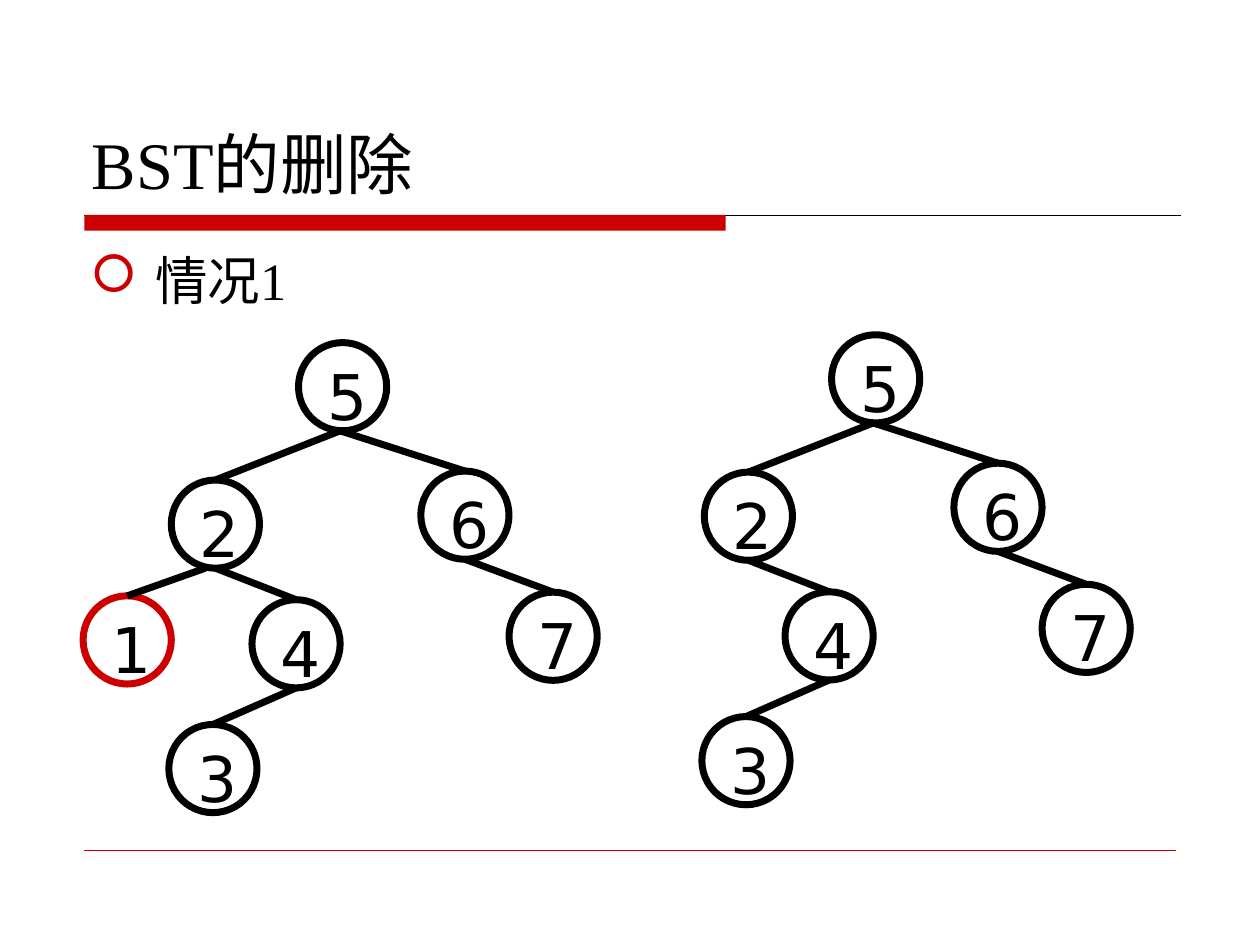
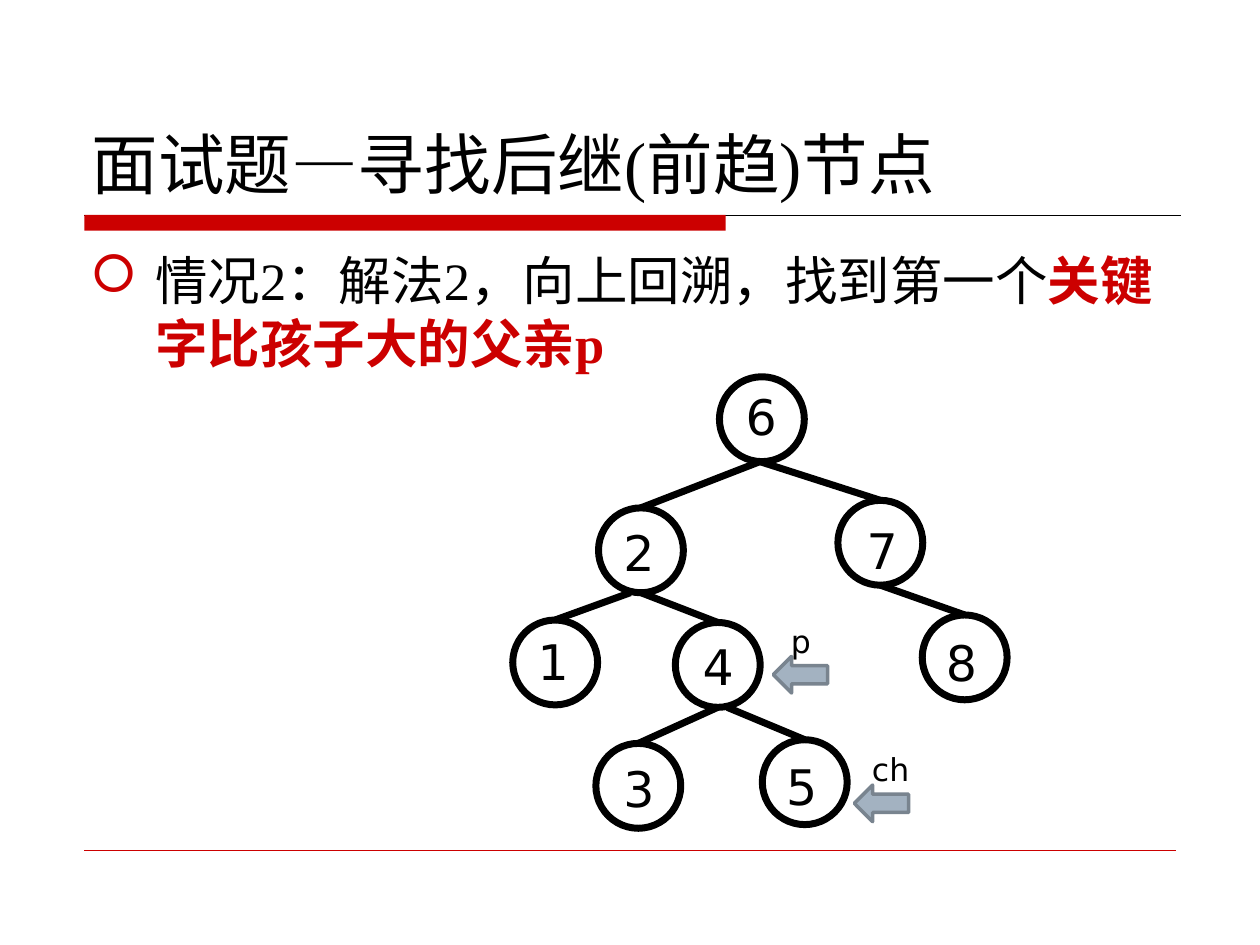
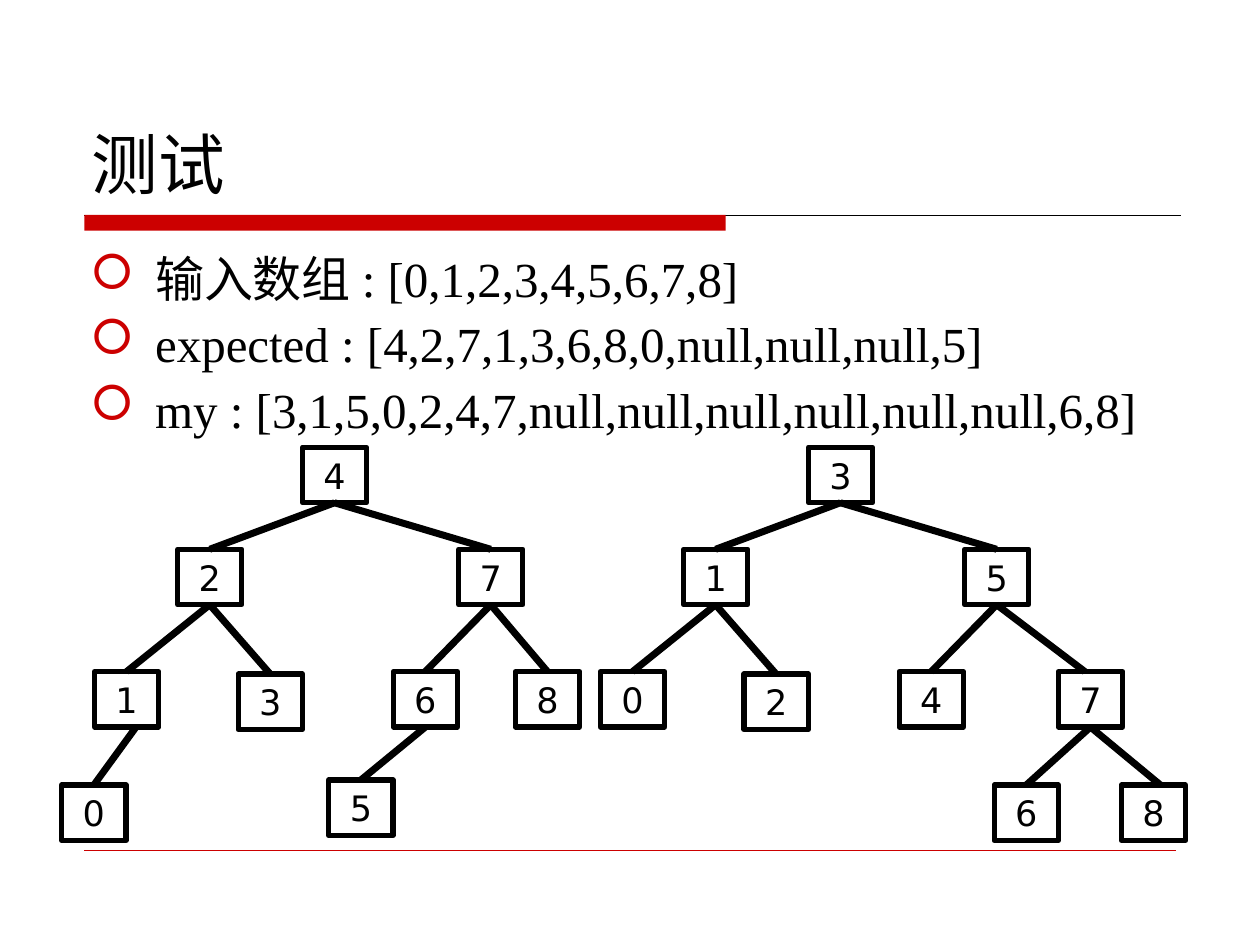
from lxml.etree import SubElement
from pptx import Presentation
from pptx.dml.color import RGBColor
from pptx.enum.shapes import MSO_CONNECTOR, MSO_SHAPE
from pptx.enum.text import MSO_ANCHOR, PP_ALIGN
from pptx.oxml.ns import qn
from pptx.util import Pt

BLACK = RGBColor(0x00, 0x00, 0x00)
RED = RGBColor(0xCC, 0x00, 0x00)
ARROW_FILL = RGBColor(0xA3, 0xB2, 0xC1)
ARROW_LINE = RGBColor(0x79, 0x84, 0x8F)
SERIF, SANS, SYMBOLS = "Times New Roman", "DejaVu Sans", "Wingdings"
TOP, BOTTOM = 0, 2  # connection sites of a rectangle
INDENT = 37

# A node is keyed by its way down from the root: "LR" is the right child of "L"
DELETION_NODES = {
    "": ("5", 123.1, 0), "L": ("2", 50.4, 78.5), "LL": ("1", 0, 144.7),
    "LR": ("4", 96.5, 146.9), "LRL": ("3", 49, 218.2),
    "R": ("6", 193, 73.4), "RR": ("7", 243.4, 142.6),
}
SUCCESSOR_NODES = {
    "": ("6", 118.1, 0), "L": ("2", 49, 74.9), "LL": ("1", 0, 139),
    "LR": ("4", 92.9, 140.4), "LRL": ("3", 47.5, 209.5), "LRR": ("5", 142.6, 207.4),
    "R": ("7", 185.8, 70.6), "RR": ("8", 234, 136.1),
}
SUCCESSOR_LABELS = {
    "": (7.9, 2.2), "L": (7.2, 5), "LL": (7.2, 2.9), "LR": (8.6, 4.3),
    "LRL": (8.6, 5), "LRR": (6.5, 5.8), "R": (9.4, 7.9), "RR": (6.5, 6.5),
}
TEST_SLOTS = {
    "": (137.5, 0), "L": (66.2, 58.3), "R": (226.8, 58.3), "LL": (18.7, 128.2),
    "LR": (100.8, 129.6), "RL": (189.4, 128.2),
}
EXPECTED_SLOTS = TEST_SLOTS | {"RR": (259.2, 128.2), "LLL": (0, 193), "RLL": (152.6, 190.1)}
MY_SLOTS = TEST_SLOTS | {"RR": (280.4, 128.2), "RRL": (243.7, 193), "RRR": (316.4, 193)}


def apply_format(target, values):
    for name, value in values.items():
        setattr(target, name, value)


def style_run(run, size, name, color=BLACK, bold=False):
    apply_format(run.font, {"size": Pt(size), "name": name, "bold": bold})
    run.font.color.rgb = color


def add_text(slide, left, top, width, height, text, size, name, anchor=MSO_ANCHOR.TOP):
    frame = slide.shapes.add_textbox(Pt(left), Pt(top), Pt(width), Pt(height)).text_frame
    apply_format(frame, {"word_wrap": True, "vertical_anchor": anchor})
    run = frame.paragraphs[0].add_run()
    run.text = text
    style_run(run, size, name)


def add_shape(slide, kind, left, top, width, height, fill=None, line=None, weight=1):
    shape = slide.shapes.add_shape(kind, Pt(left), Pt(top), Pt(width), Pt(height))
    shape.shadow.inherit = False
    if fill is None:
        shape.fill.background()
    else:
        shape.fill.solid()
        shape.fill.fore_color.rgb = fill
    if line is None:
        shape.line.fill.background()
    else:
        shape.line.color.rgb = line
        shape.line.width = Pt(weight)
    return shape


def add_line(slide, start, end, color=BLACK, weight=4):
    points = [Pt(value) for value in (*start, *end)]
    connector = slide.shapes.add_connector(MSO_CONNECTOR.STRAIGHT, *points)
    connector.line.color.rgb = color
    connector.line.width = Pt(weight)
    SubElement(connector._element.spPr, qn("a:effectLst"))
    return connector


def add_base_slide(presentation, title):
    """Red band, footer rule and title, shared by all slides."""
    slide = presentation.slides.add_slide(presentation.slide_layouts[6])
    add_line(slide, (48.2, 123.1), (674.6, 123.1), BLACK, 0.75)
    add_shape(slide, MSO_SHAPE.RECTANGLE, 48.2, 122.8, 366.5, 9, fill=RED)
    add_line(slide, (48.2, 486), (671.8, 486), RED, 0.25)
    add_text(slide, 45.4, 23.8, 630, 95.8, title, 38, SERIF, MSO_ANCHOR.BOTTOM)
    return slide


def add_bullets(slide, items, size):
    """Each item is a list of (text, emphasised) runs."""
    frame = slide.shapes.add_textbox(Pt(44.6), Pt(138.2), Pt(630), Pt(336)).text_frame
    frame.word_wrap = True
    for index, item in enumerate(items):
        paragraph = frame.add_paragraph() if index else frame.paragraphs[0]
        properties = paragraph._p.get_or_add_pPr()
        properties.set("marL", str(Pt(INDENT)))
        properties.set("indent", str(-Pt(INDENT)))
        color = SubElement(properties, qn("a:buClr"))
        SubElement(color, qn("a:srgbClr"), val=str(RED))
        SubElement(properties, qn("a:buFont"), typeface=SYMBOLS)
        SubElement(properties, qn("a:buChar"), char="□")
        if index:
            paragraph.space_before = Pt(4)
        for text, emphasised in item:
            run = paragraph.add_run()
            run.text = text
            style_run(run, size, SERIF, RED if emphasised else BLACK, emphasised)


def add_edges(slide, left, top, boxes, width, height, shifts, shapes=None):
    """Join bottom of parent to top of child; shifts move the ends sideways."""
    for key, (x, y) in boxes.items():
        if not key:
            continue
        parent = key[:-1]
        parent_x, parent_y = boxes[parent]
        start_shift, end_shift = shifts.get(key, (0, 0))
        edge = add_line(
            slide,
            (left + parent_x + width / 2 + start_shift, top + parent_y + height),
            (left + x + width / 2 + end_shift, top + y))
        if shapes and not start_shift:
            edge.begin_connect(shapes[parent], BOTTOM)
        if shapes and not end_shift:
            edge.end_connect(shapes[key], TOP)


def add_circle_tree(slide, left, top, nodes, diameter, label_size, label_box,
                    label_offsets, shifts, marked=()):
    for key, (value, x, y) in nodes.items():
        add_shape(slide, MSO_SHAPE.OVAL, left + x, top + y, diameter, diameter,
                  line=RED if key in marked else BLACK, weight=4)
        label_x, label_y = label_offsets[key]
        add_text(slide, left + x + label_x, top + y + label_y, *label_box,
                 value, label_size, SANS)
    boxes = {key: (x, y) for key, (_, x, y) in nodes.items()}
    add_edges(slide, left, top, boxes, diameter, diameter, shifts)


def add_box_tree(slide, left, top, slots, values, shifts):
    width, height = 36.7, 31.7
    shapes = {}
    for key, (x, y) in slots.items():
        shape = add_shape(slide, MSO_SHAPE.RECTANGLE, left + x, top + y, width, height,
                          line=BLACK, weight=3)
        shape.text_frame.vertical_anchor = MSO_ANCHOR.MIDDLE
        paragraph = shape.text_frame.paragraphs[0]
        paragraph.alignment = PP_ALIGN.CENTER
        run = paragraph.add_run()
        run.text = values[key]
        style_run(run, 20, SANS)
        shapes[key] = shape
    add_edges(slide, left, top, slots, width, height, shifts, shapes)


def add_pointer(slide, left, top, name):
    add_shape(slide, MSO_SHAPE.LEFT_ARROW, left, top, 31, 20.9, ARROW_FILL, ARROW_LINE, 2)
    add_text(slide, left + 3, top - 23.5, 46, 29, name, 18, SANS)


def build_deletion(presentation):
    slide = add_base_slide(presentation, "BST的删除")
    add_bullets(slide, [[("情况1", False)]], 30)
    after = {key: node for key, node in DELETION_NODES.items() if key != "LL"}
    offsets = dict.fromkeys(DELETION_NODES, (9.2, 4.8))
    shifts = {"L": (-1.4, 0), "R": (-1.4, 0), "LL": (-5.8, 0)}
    # Trees before and after the deletion
    for left, top, nodes in ((47.5, 195.8, DELETION_NODES), (352.1, 191.3, after)):
        add_circle_tree(slide, left, top, nodes, 50.4, 36, (32.4, 41), offsets, shifts,
                        marked=("LL",))


def build_successor(presentation):
    slide = add_base_slide(presentation, "面试题—寻找后继(前趋)节点")
    add_bullets(slide, [[("情况2：解法2，向上回溯，找到第一个", False),
                         ("关键字比孩子大的父亲p", True)]], 30)
    shifts = {"L": (-1.1, 0), "R": (-1.1, 0), "LL": (-6, 0), "LRR": (5.4, 0)}
    add_circle_tree(slide, 293, 215.3, SUCCESSOR_NODES, 48.5, 28, (31, 41),
                    SUCCESSOR_LABELS, shifts)
    # Pointers to the child and its parent
    add_pointer(slide, 488.2, 448.6, "ch")
    add_pointer(slide, 441.9, 375.1, "p")


def build_test(presentation):
    slide = add_base_slide(presentation, "测试")
    lines = ("输入数组 : [0,1,2,3,4,5,6,7,8]",
             "expected : [4,2,7,1,3,6,8,0,null,null,null,5]",
             "my : [3,1,5,0,2,4,7,null,null,null,null,null,null,6,8]")
    add_bullets(slide, [[(line, False)] for line in lines], 28)
    # Values follow the order of the slots
    add_box_tree(slide, 324.4, 255.6, MY_SLOTS, dict(zip(MY_SLOTS, "315024768")),
                 {"RR": (0, -3.2), "RRR": (0, 4)})
    add_box_tree(slide, 35.3, 255.6, EXPECTED_SLOTS, dict(zip(EXPECTED_SLOTS, "427136805")),
                 {"LLL": (5.4, 0)})


def main():
    presentation = Presentation()
    apply_format(presentation, {"slide_width": Pt(720), "slide_height": Pt(540)})
    for build in (build_deletion, build_successor, build_test):
        build(presentation)
    presentation.save("out.pptx")


if __name__ == "__main__":
    main()
